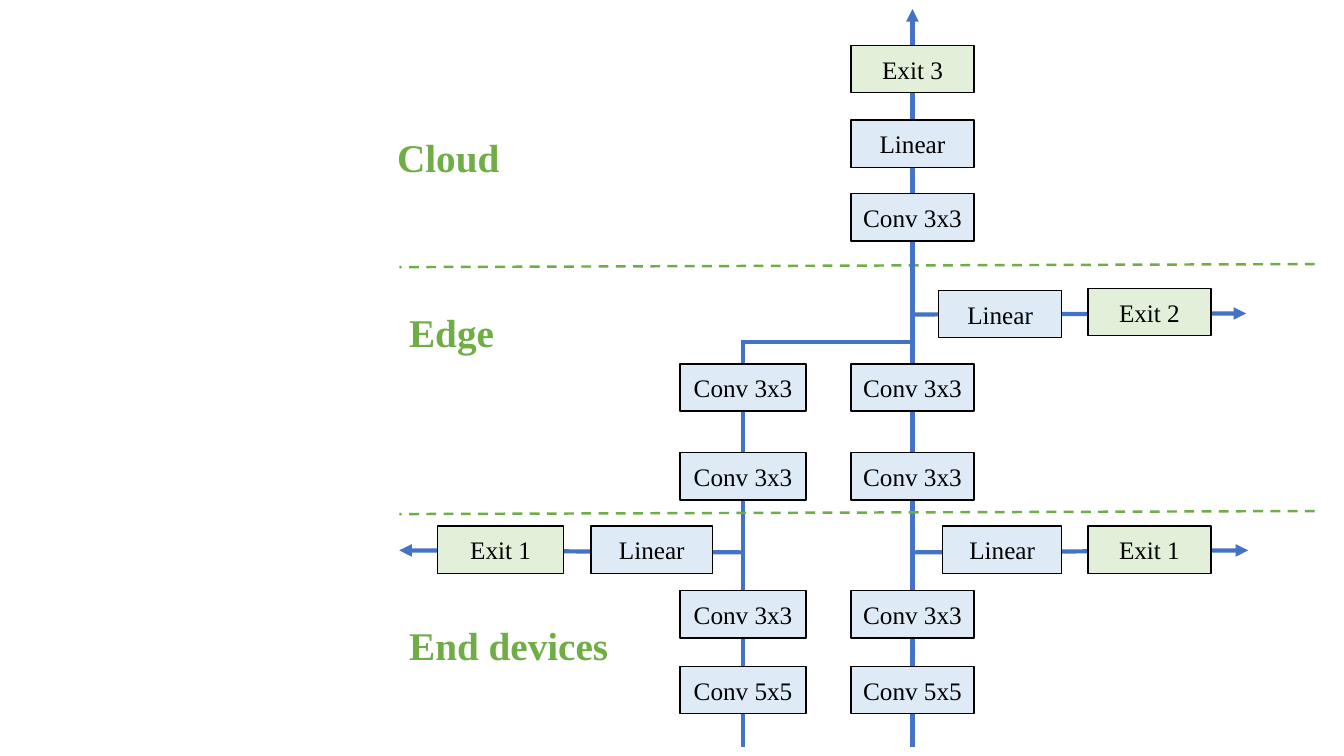
from lxml.etree import SubElement
from pptx import Presentation
from pptx.dml.color import RGBColor
from pptx.enum.dml import MSO_LINE
from pptx.enum.shapes import MSO_CONNECTOR, MSO_SHAPE
from pptx.enum.text import MSO_ANCHOR, PP_ALIGN
from pptx.oxml.ns import qn
from pptx.util import Inches, Pt

FONT = "Times New Roman"
BLACK = RGBColor(0x00, 0x00, 0x00)
BLUE = RGBColor(0x44, 0x72, 0xC4)
GREEN = RGBColor(0x70, 0xAD, 0x47)
LAYER_FILL = RGBColor(0xDE, 0xEB, 0xF7)
EXIT_FILL = RGBColor(0xE2, 0xF0, 0xD9)

BOX_H = 0.47
LEFT_X, RIGHT_X = 7.37, 9.05
LEFT_W, RIGHT_W = 1.25, 1.22
BOTTOM, MERGE_Y = 7.41, 3.39

DEVICE_LAYERS = [("Conv 3x3", 3.61), ("Conv 3x3", 4.49),
                 ("Conv 3x3", 5.86), ("Conv 5x5", 6.61)]
CLOUD_LAYERS = [("Exit 3", 0.45), ("Linear", 1.19), ("Conv 3x3", 1.92)]
COLUMNS = [(LEFT_X, LEFT_W, DEVICE_LAYERS),
           (RIGHT_X, RIGHT_W, CLOUD_LAYERS + DEVICE_LAYERS)]
BRANCH_BOXES = [
    ("Linear", 9.31, 2.88, 1.22), ("Exit 2", 10.79, 2.86, 1.22),
    ("Linear", 9.35, 5.22, 1.18), ("Exit 1", 10.79, 5.22, 1.22),
    ("Linear", 5.86, 5.22, 1.21), ("Exit 1", 4.34, 5.22, 1.25),
]
ARROWS = [
    (RIGHT_X, BOTTOM, RIGHT_X, 0.09),
    (RIGHT_X, 3.12, 12.36, 3.11),
    (RIGHT_X, 5.48, 12.38, 5.46),
    (LEFT_X, 5.48, 3.96, 5.46),
]
CLOUD_BORDER = (13.04, 2.62, 3.96, 2.65)
EDGE_BORDER = (13.04, 5.07, 3.96, 5.1)
TIERS = [("Cloud", 3.84, 1.27, 1.96), ("Edge", 3.96, 3.01, 1.96),
         ("End devices", 3.96, 6.11, 2.18)]

prs = Presentation()
prs.slide_width, prs.slide_height = Inches(13.33), Inches(7.5)
shapes = prs.slides.add_slide(prs.slide_layouts[6]).shapes


def add_line(ends, color, width):
    sp = shapes.add_connector(MSO_CONNECTOR.STRAIGHT, *map(Inches, ends))
    sp.line.color.rgb = color
    sp.line.width = Pt(width)
    SubElement(sp._element.spPr, qn("a:effectLst"))
    return sp


def add_arrow(ends):
    sp = add_line(ends, BLUE, 3)
    SubElement(sp.line._get_or_add_ln(), qn("a:tailEnd"), type="triangle")


def add_border(ends):
    add_line(ends, GREEN, 1.75).line.dash_style = MSO_LINE.DASH


def add_run(tf, text, size, color, bold=False):
    r = tf.paragraphs[0].add_run()
    r.text = text
    r.font.name = FONT
    r.font.size = Pt(size)
    r.font.bold = bold
    r.font.color.rgb = color


def add_box(text, x, y, w):
    sp = shapes.add_shape(MSO_SHAPE.RECTANGLE, *map(Inches, (x, y, w, BOX_H)))
    sp.shadow.inherit = False
    sp.fill.solid()
    sp.fill.fore_color.rgb = EXIT_FILL if text.startswith("Exit") else LAYER_FILL
    sp.line.color.rgb = BLACK
    sp.line.width = Pt(1)
    tf = sp.text_frame
    tf.vertical_anchor = MSO_ANCHOR.MIDDLE
    tf.paragraphs[0].alignment = PP_ALIGN.CENTER
    add_run(tf, text, 18, BLACK)


def add_merge():
    builder = shapes.build_freeform(Inches(LEFT_X), Inches(BOTTOM))
    corners = [(LEFT_X, MERGE_Y), (RIGHT_X, MERGE_Y)]
    builder.add_line_segments([(Inches(x), Inches(y)) for x, y in corners], close=False)
    sp = builder.convert_to_shape()
    sp.shadow.inherit = False
    sp.fill.background()
    sp.line.color.rgb = BLUE
    sp.line.width = Pt(3)
    SubElement(sp.line._get_or_add_ln(), qn("a:miter"), lim="800000")


add_border(CLOUD_BORDER)
for ends in ARROWS:
    add_arrow(ends)
add_merge()

for center, width, layers in COLUMNS:
    for text, y in layers:
        add_box(text, center - width / 2, y, width)
for box in BRANCH_BOXES:
    add_box(*box)
add_border(EDGE_BORDER)

for text, x, y, w in TIERS:
    tf = shapes.add_textbox(*map(Inches, (x, y, w, 0.57))).text_frame
    tf.word_wrap = True
    add_run(tf, text, 28, GREEN, bold=True)

prs.save("out.pptx")
